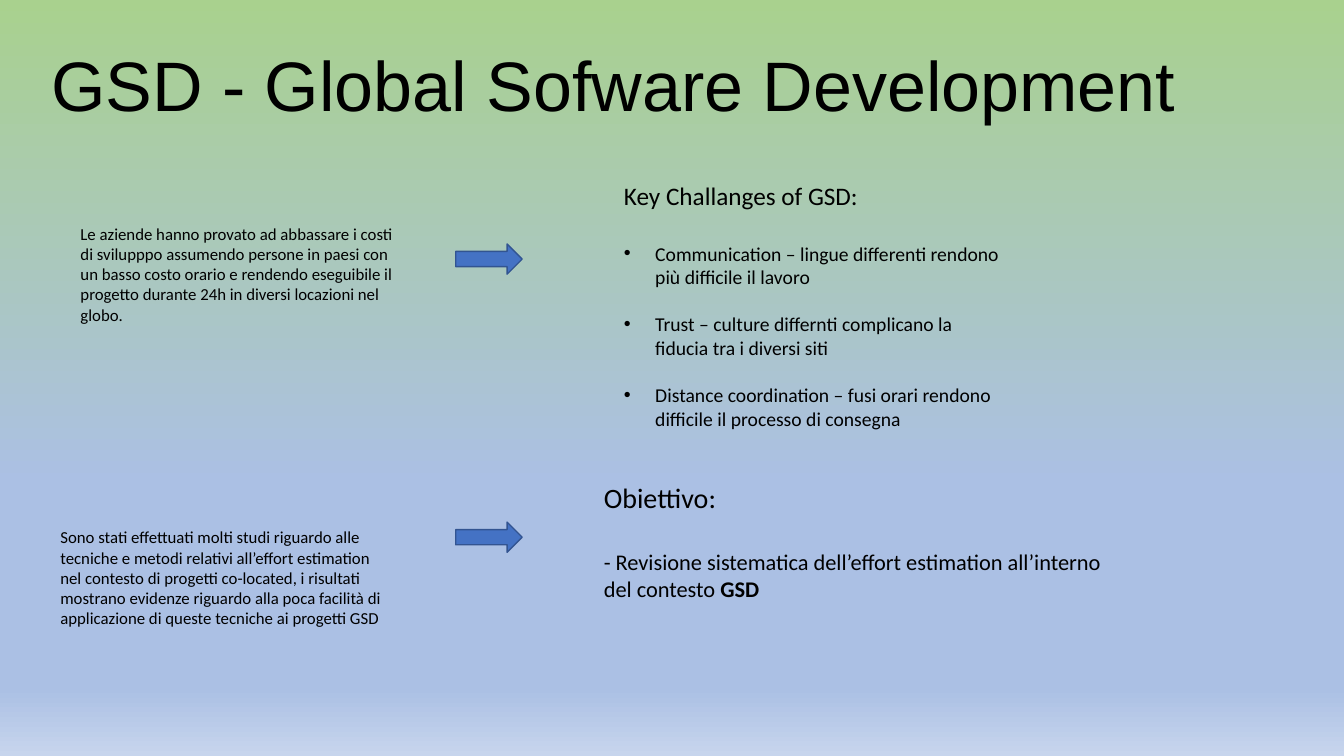
from lxml import etree
from pptx import Presentation
from pptx.dml.color import RGBColor
from pptx.enum.shapes import MSO_SHAPE
from pptx.enum.text import MSO_ANCHOR, PP_ALIGN
from pptx.oxml.ns import qn
from pptx.util import Inches, Pt

ARROW = MSO_SHAPE.RIGHT_ARROW
MIDDLE = MSO_ANCHOR.MIDDLE
CENTER = PP_ALIGN.CENTER
STOPS = [(0, "A9D18E"), (64, "ABC0E4"), (91, "ABC0E4"), (100, "C7D5ED")]


def color(code):
    return RGBColor.from_string(code)


def paint_back(slide):
    fill = slide.background.fill
    fill.gradient()
    fill.gradient_angle = 270
    stops = next(slide.element.iter(qn("a:gsLst")))
    for old in list(stops):
        stops.remove(old)
    for place, code in STOPS:
        stop = etree.SubElement(stops, qn("a:gs"), pos=str(place * 1000))
        etree.SubElement(stop, qn("a:srgbClr"), val=code)


def add_box(slide, box):
    frame = slide.shapes.add_textbox(*map(Inches, box)).text_frame
    frame.word_wrap = True
    return frame


def add_run(para, text, size, font="Calibri", bold=False):
    run = para.add_run()
    run.text = text
    run.font.name = font
    run.font.size = Pt(size)
    run.font.bold = bold
    run.font.color.rgb = color("000000")


def add_bullet(para):
    props = para._p.get_or_add_pPr()
    props.set("marL", str(Inches(0.31)))
    props.set("indent", str(-Inches(0.31)))
    etree.SubElement(props, qn("a:buFont"), typeface="Arial")
    etree.SubElement(props, qn("a:buChar"), char="•")


def add_title(slide, box, text):
    frame = add_box(slide, box)
    frame.vertical_anchor = MIDDLE
    para = frame.paragraphs[0]
    para.alignment = CENTER
    para.line_spacing = 0.9
    add_run(para, text, 50, "Arial")


def add_note(slide, box, text):
    add_run(add_box(slide, box).paragraphs[0], text, 12)


def add_arrow(slide, box):
    arrow = slide.shapes.add_shape(ARROW, *map(Inches, box))
    arrow.shadow.inherit = False
    arrow.fill.solid()
    arrow.fill.fore_color.rgb = color("4472C4")
    arrow.line.color.rgb = color("325491")
    arrow.line.width = Pt(1)


def add_issues(slide, box, head, items):
    frame = add_box(slide, box)
    add_run(frame.paragraphs[0], head, 18)
    for spot, item in enumerate(items):
        para = frame.add_paragraph()
        para.space_before = Pt(17 if spot else 22)
        add_bullet(para)
        add_run(para, item, 14)


def add_goal(slide, box, head, text, key):
    frame = add_box(slide, box)
    add_run(frame.paragraphs[0], head, 20)
    para = frame.add_paragraph()
    para.space_before = Pt(24.4)
    add_run(para, text, 16)
    add_run(para, key, 16, bold=True)


deck = Presentation()
deck.slide_width, deck.slide_height = Inches(13.33), Inches(7.5)
slide = deck.slides.add_slide(deck.slide_layouts[6])
paint_back(slide)
add_title(slide, (0.34, 0.16, 11.5, 1.45), "GSD - Global Sofware Development")

# Upper row: background and challenges
add_note(slide, (0.7, 2.17, 3.33, 1.11),
         "Le aziende hanno provato ad abbassare i costi di svilupppo assumendo "
         "persone in paesi con un basso costo orario e rendendo eseguibile il "
         "progetto durante 24h in diversi locazioni nel globo.")
add_issues(slide, (6.09, 1.74, 3.95, 2.59), "Key Challanges of GSD:", [
    "Communication – lingue differenti rendono più difficile il lavoro",
    "Trust – culture differnti complicano la fiducia tra i diversi siti",
    "Distance coordination – fusi orari rendono difficile il processo di consegna",
])

# Lower row: studies and goal
add_note(slide, (0.5, 5.18, 3.42, 1.11),
         "Sono stati effettuati molti studi riguardo alle tecniche e metodi "
         "relativi all’effort estimation nel contesto di progetti co-located, "
         "i risultati mostrano evidenze riguardo alla poca facilità di "
         "applicazione di queste tecniche ai progetti GSD")
add_goal(slide, (5.89, 4.72, 5.32, 1.31), "Obiettivo:",
         "- Revisione sistematica dell’effort estimation all’interno del contesto ",
         "GSD")

# Arrows between the columns
for top in (2.42, 5.18):
    add_arrow(slide, (4.52, top, 0.66, 0.3))

deck.save("out.pptx")
